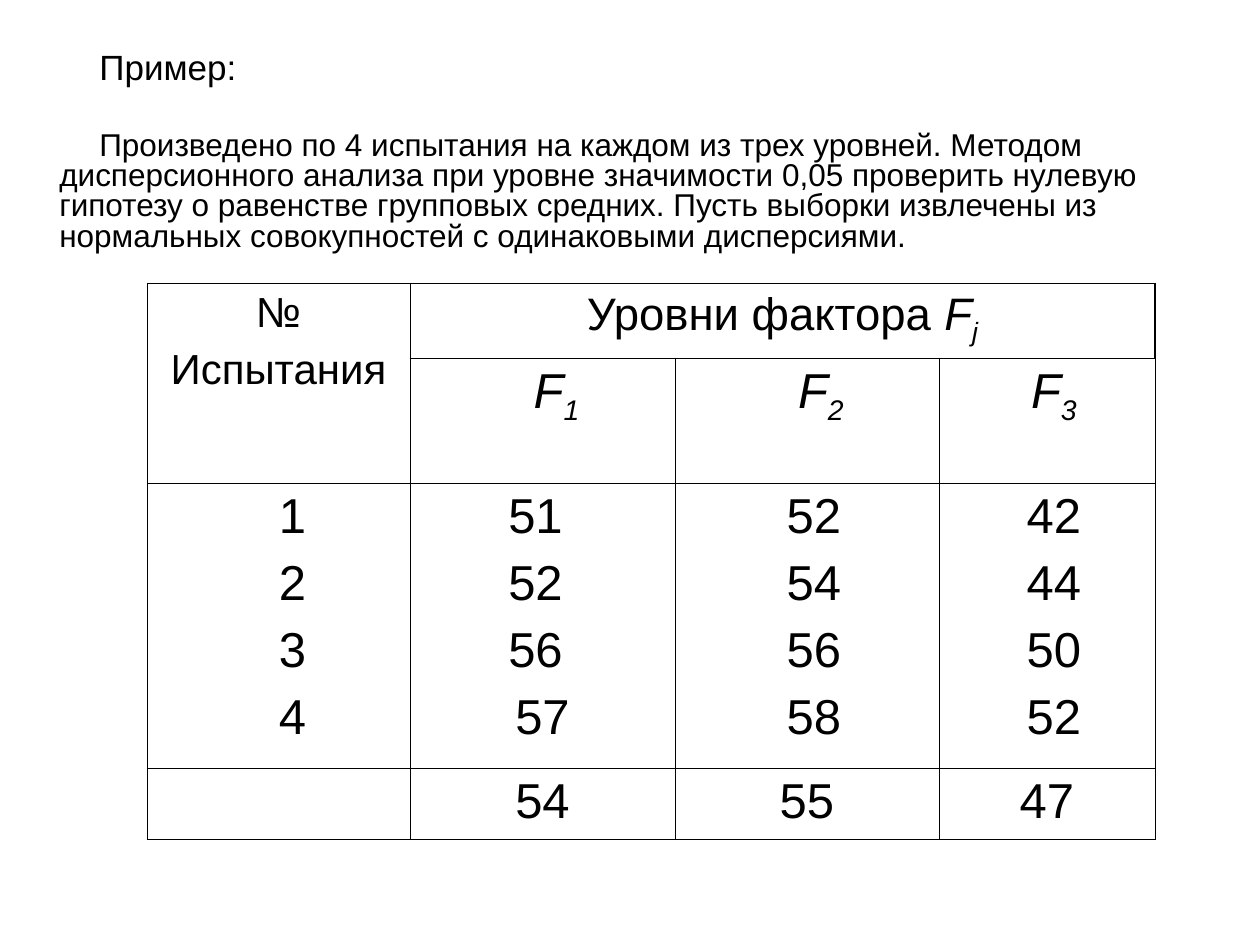
import pptx
import pptx.util
import pptx.dml.color
import pptx.enum.text
import pptx.oxml
import pptx.oxml.ns
from lxml import etree

HEADING = "Пример:"
TASK = ("Произведено по 4 испытания на каждом из трех уровней. Методом "
        "дисперсионного анализа при уровне значимости 0,05 проверить нулевую "
        "гипотезу о равенстве групповых средних. Пусть выборки извлечены из "
        "нормальных совокупностей с одинаковыми дисперсиями.")
TRIALS = ["1", "2", "3", "4"]
# factor level: index, trial values, group mean, heading shift
LEVELS = [
    ("1", ["51", "52", "56", "57"], "54", 14),
    ("2", ["52", "54", "56", "58"], "55", 14),
    ("3", ["42", "44", "50", "52"], "47", 7),
]
VALUE_SHIFTS = [[-7, 0, 0, 7], [7] * 4, [7] * 4]
COLUMNS = [263, 265, 264, 216]
ROWS = [75, 125, 285, 71]
BLACK, WHITE, FONT = "000000", "FFFFFF", "Arial"
CENTER = pptx.enum.text.PP_ALIGN.CENTER


def px(length):
    """Convert pixels at 126 to the inch into EMU."""
    return pptx.util.Emu(round(length * 914400 / 126))


def color(code):
    """Turn a hex string into a colour."""
    return pptx.dml.color.RGBColor.from_string(code)


def style(run, size, italic=False, subscript=False):
    """Format one run of text."""
    run.font.name, run.font.size = FONT, pptx.util.Pt(size)
    run.font.italic, run.font.bold = italic, False
    run.font.color.rgb = color(BLACK)
    if subscript:
        run.font._element.set("baseline", "-25000")


def write(cell, lines, size, shifts=None):
    """Write centred lines; each is a list of (text, italic, subscript)."""
    frame = cell.text_frame
    for number, pieces in enumerate(lines):
        line = frame.add_paragraph() if number else frame.paragraphs[0]
        line.alignment = CENTER
        line.space_before = pptx.util.Pt(size / 4)
        shift = shifts[number] if shifts else 0
        if shift:
            side = "marL" if shift > 0 else "marR"
            line._p.get_or_add_pPr().set(side, str(px(2 * abs(shift))))
        for text, italic, subscript in pieces:
            run = line.add_run()
            run.text = text
            style(run, size, italic, subscript)


def plain(texts):
    """Make upright lines from plain strings."""
    return [[(text, False, False)] for text in texts]


def border(cell, right=0.45):
    """Fill a cell white and rule its four sides."""
    cell.fill.solid()
    cell.fill.fore_color.rgb = color(WHITE)
    properties = cell._tc.get_or_add_tcPr()
    for position, side in enumerate(("lnL", "lnR", "lnT", "lnB")):
        width = pptx.util.Pt(right if side == "lnR" else 0.45)
        rule = pptx.oxml.parse_xml(
            f'<a:{side} {pptx.oxml.ns.nsdecls("a")} w="{int(width)}"/>')
        fill = etree.SubElement(rule, pptx.oxml.ns.qn("a:solidFill"))
        etree.SubElement(fill, pptx.oxml.ns.qn("a:srgbClr"), val=BLACK)
        properties.insert(position, rule)


deck = pptx.Presentation()
deck.slide_width, deck.slide_height = px(1260), px(945)
slide = deck.slides.add_slide(deck.slide_layouts[5])

heading = slide.shapes.title
heading.left, heading.top, heading.width, heading.height = map(px, (63, 38, 210, 57))
heading.text_frame.text = HEADING
heading.text_frame.vertical_anchor = pptx.enum.text.MSO_ANCHOR.MIDDLE
heading.text_frame.paragraphs[0].alignment = CENTER
style(heading.text_frame.paragraphs[0].runs[0], 20)

task = slide.shapes.add_textbox(*map(px, (0, 126, 1207, 157))).text_frame
task.word_wrap = True
task.text = TASK
statement = task.paragraphs[0]
statement.line_spacing = 0.8
statement.space_before = pptx.util.Pt(4.5)
indents = statement._p.get_or_add_pPr()
indents.set("marL", str(px(47)))
indents.set("indent", str(px(40)))
style(statement.runs[0], 18)

table = slide.shapes.add_table(
    len(ROWS), len(COLUMNS), px(147), px(283), px(sum(COLUMNS)), px(sum(ROWS))).table
table.first_row = table.horz_banding = False
for column, width in zip(table.columns, COLUMNS):
    column.width = px(width)
for row, height in zip(table.rows, ROWS):
    row.height = px(height)
table.cell(0, 0).merge(table.cell(1, 0))
table.cell(0, 1).merge(table.cell(0, 3))
for r in range(len(ROWS)):
    for c in range(len(COLUMNS)):
        border(table.cell(r, c), 1.08 if r == 0 and c in (1, 3) else 0.45)

write(table.cell(0, 0), plain(["№", "Испытания"]), 24)
write(table.cell(0, 1), [[("Уровни фактора ", False, False), ("F", True, False),
                          ("j", True, True)]], 26)
write(table.cell(2, 0), plain(TRIALS), 28, [14] * 4)
for c, (index, values, mean, shift) in enumerate(LEVELS, 1):
    write(table.cell(1, c), [[("F", True, False), (index, True, True)]], 28, [shift])
    write(table.cell(2, c), plain(values), 28, VALUE_SHIFTS[c - 1])
    write(table.cell(3, c), plain([mean]), 28)

deck.save("out.pptx")
